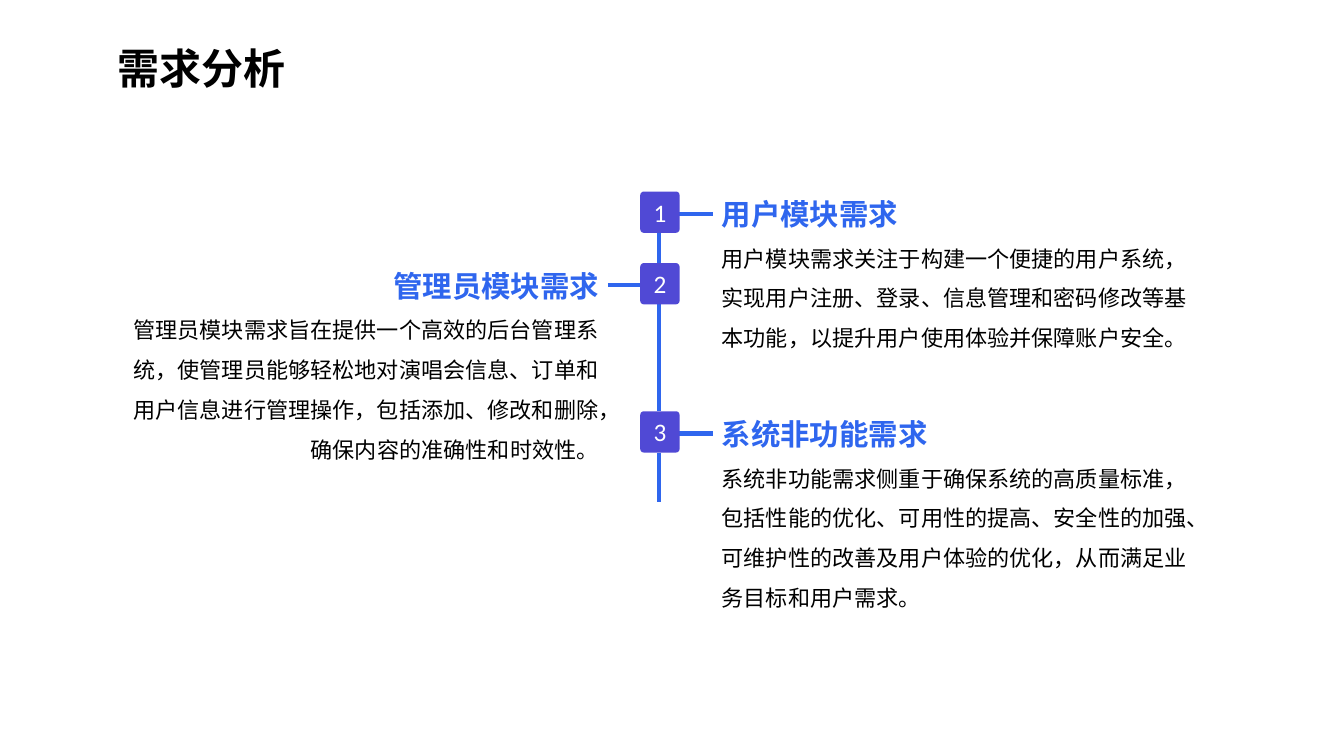
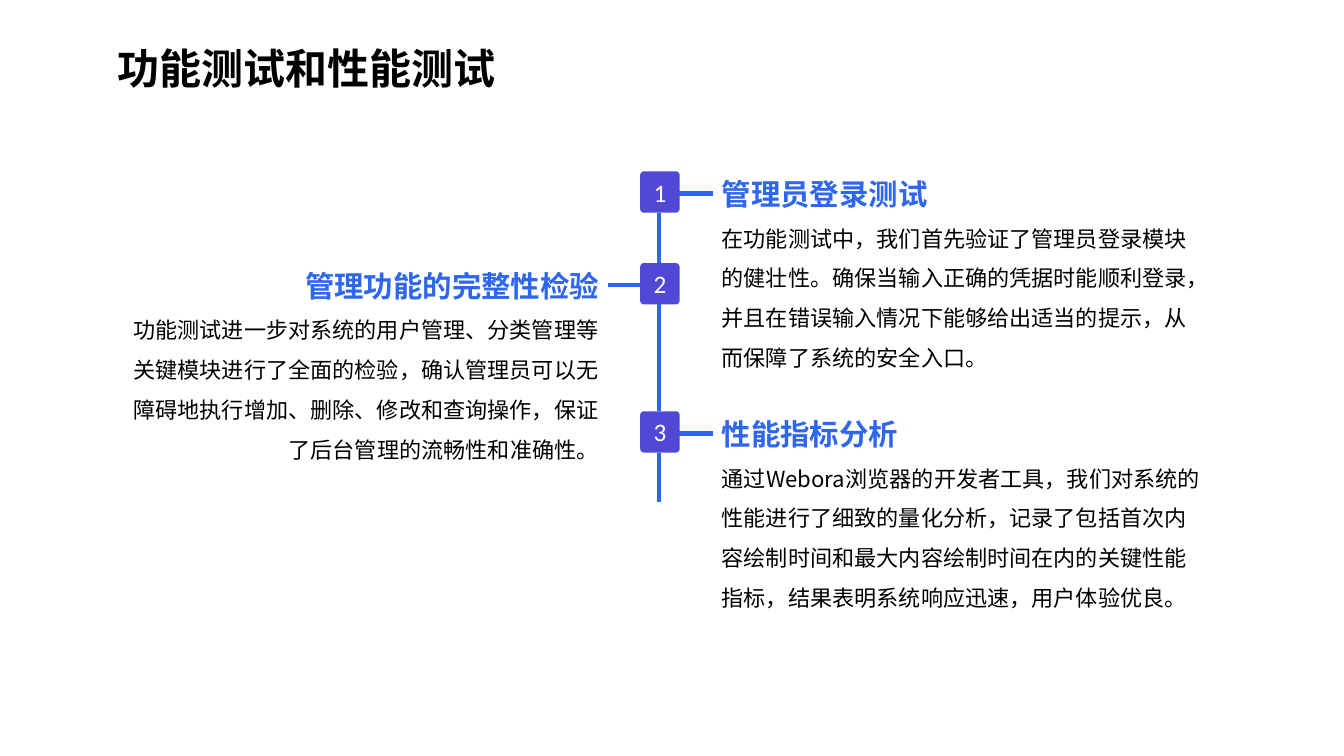
from lxml.etree import SubElement
from pptx import Presentation
from pptx.dml.color import RGBColor
from pptx.enum.shapes import MSO_CONNECTOR, MSO_SHAPE
from pptx.enum.text import MSO_ANCHOR, MSO_AUTO_SIZE, PP_ALIGN
from pptx.oxml.ns import qn
from pptx.util import Inches, Pt

# Each step: top, height of its text, heading, body
SLIDES = [
    ("需求分析", [
        (1.9, 1.63, "用户模块需求",
         "用户模块需求关注于构建一个便捷的用户系统，实现用户注册、登录、信息管理和密码修改等基本功能，"
         "以提升用户使用体验并保障账户安全。"),
        (2.61, 2.03, "管理员模块需求",
         "管理员模块需求旨在提供一个高效的后台管理系统，使管理员能够轻松地对演唱会信息、订单和用户信息"
         "进行管理操作，包括添加、修改和删除，确保内容的准确性和时效性。"),
        (4.08, 2.03, "系统非功能需求",
         "系统非功能需求侧重于确保系统的高质量标准，包括性能的优化、可用性的提高、安全性的加强、"
         "可维护性的改善及用户体验的优化，从而满足业务目标和用户需求。"),
    ]),
    ("功能测试和性能测试", [
        (1.7, 2.03, "管理员登录测试",
         "在功能测试中，我们首先验证了管理员登录模块的健壮性。确保当输入正确的凭据时能顺利登录，"
         "并且在错误输入情况下能够给出适当的提示，从而保障了系统的安全入口。"),
        (2.61, 2.03, "管理功能的完整性检验",
         "功能测试进一步对系统的用户管理、分类管理等关键模块进行了全面的检验，确认管理员可以无障碍地"
         "执行增加、删除、修改和查询操作，保证了后台管理的流畅性和准确性。"),
        (4.08, 2.03, "性能指标分析",
         "通过Webora浏览器的开发者工具，我们对系统的性能进行了细致的量化分析，记录了包括首次内容绘制"
         "时间和最大内容绘制时间在内的关键性能指标，结果表明系统响应迅速，用户体验优良。"),
    ]),
]

COLORS = {"text": "000000", "accent": "2F66EE", "badge": "5049D5", "number": "FFFFFF"}
TEXT_FONT, NUMBER_FONT = "Noto Sans CJK SC", "Calibri"
RAIL_X, RAIL_END = 6.54, 4.98
BADGE_LEFT, BADGE_WIDTH, BADGE_HEIGHT = 6.35, 0.39, 0.41
ARM_DROP = 0.22
TEXT_WIDTH = 4.97
# Text left, arm start, arm end, alignment
RIGHT_SIDE = (7.06, 6.73, 7.07, PP_ALIGN.LEFT)
LEFT_SIDE = (1.07, 6.03, 6.37, PP_ALIGN.RIGHT)


def color(name):
    return RGBColor.from_string(COLORS[name])


def write(para, text, size, color_name, bold=False, font_name=TEXT_FONT,
          align=PP_ALIGN.LEFT, spacing=None):
    para.text = text
    para.alignment = align
    para.line_spacing = spacing
    font = para.font
    font.size, font.bold, font.name = Pt(size), bold, font_name
    font.color.rgb = color(color_name)
    # East Asian glyphs take their typeface from a:ea
    SubElement(font._element, qn("a:ea"), typeface=font_name)


def add_text_frame(page, left, top, width, height):
    box = page.shapes.add_textbox(Inches(left), Inches(top), Inches(width), Inches(height))
    frame = box.text_frame
    frame.word_wrap = True
    frame.auto_size = MSO_AUTO_SIZE.SHAPE_TO_FIT_TEXT
    frame.vertical_anchor = MSO_ANCHOR.MIDDLE
    return frame


def add_line(page, x1, y1, x2, y2):
    line = page.shapes.add_connector(
        MSO_CONNECTOR.STRAIGHT, Inches(x1), Inches(y1), Inches(x2), Inches(y2))
    line.line.color.rgb = color("accent")
    line.line.width = Pt(3)
    SubElement(line._element.spPr, qn("a:effectLst"))


def add_badge(page, number, top):
    badge = page.shapes.add_shape(
        MSO_SHAPE.ROUNDED_RECTANGLE, Inches(BADGE_LEFT), Inches(top),
        Inches(BADGE_WIDTH), Inches(BADGE_HEIGHT))
    badge.adjustments[0] = 0.09
    badge.shadow.inherit = False
    badge.fill.solid()
    badge.fill.fore_color.rgb = color("badge")
    badge.line.fill.background()
    frame = badge.text_frame
    frame.margin_left = frame.margin_right = frame.margin_top = frame.margin_bottom = 0
    frame.vertical_anchor = MSO_ANCHOR.MIDDLE
    write(frame.paragraphs[0], str(number), 18, "number",
          font_name=NUMBER_FONT, align=PP_ALIGN.CENTER)


def add_step(page, number, step, rail_end):
    """Draw one step: text, rail down to the next step, arm and badge."""
    top, height, heading, body = step
    text_left, arm_start, arm_end, align = RIGHT_SIDE if number % 2 else LEFT_SIDE
    frame = add_text_frame(page, text_left, top, TEXT_WIDTH, height)
    write(frame.paragraphs[0], heading, 21, "accent", bold=True, align=align)
    write(frame.add_paragraph(), body, 15.8, "text", align=align, spacing=1.5)
    add_line(page, RAIL_X, top + BADGE_HEIGHT, RAIL_X, rail_end)
    add_line(page, arm_start, top + ARM_DROP, arm_end, top + ARM_DROP)
    add_badge(page, number, top)


def main():
    deck = Presentation()
    deck.slide_width, deck.slide_height = Inches(13.33), Inches(7.5)
    for title, steps in SLIDES:
        page = deck.slides.add_slide(deck.slide_layouts[6])
        frame = add_text_frame(page, 1.07, 0.12, 10.25, 0.85)
        write(frame.paragraphs[0], title, 30, "text", bold=True, spacing=1.5)
        rail_ends = [step[0] for step in steps[1:]] + [RAIL_END]
        for number, (step, rail_end) in enumerate(zip(steps, rail_ends), 1):
            add_step(page, number, step, rail_end)
    deck.save("out.pptx")


if __name__ == "__main__":
    main()
